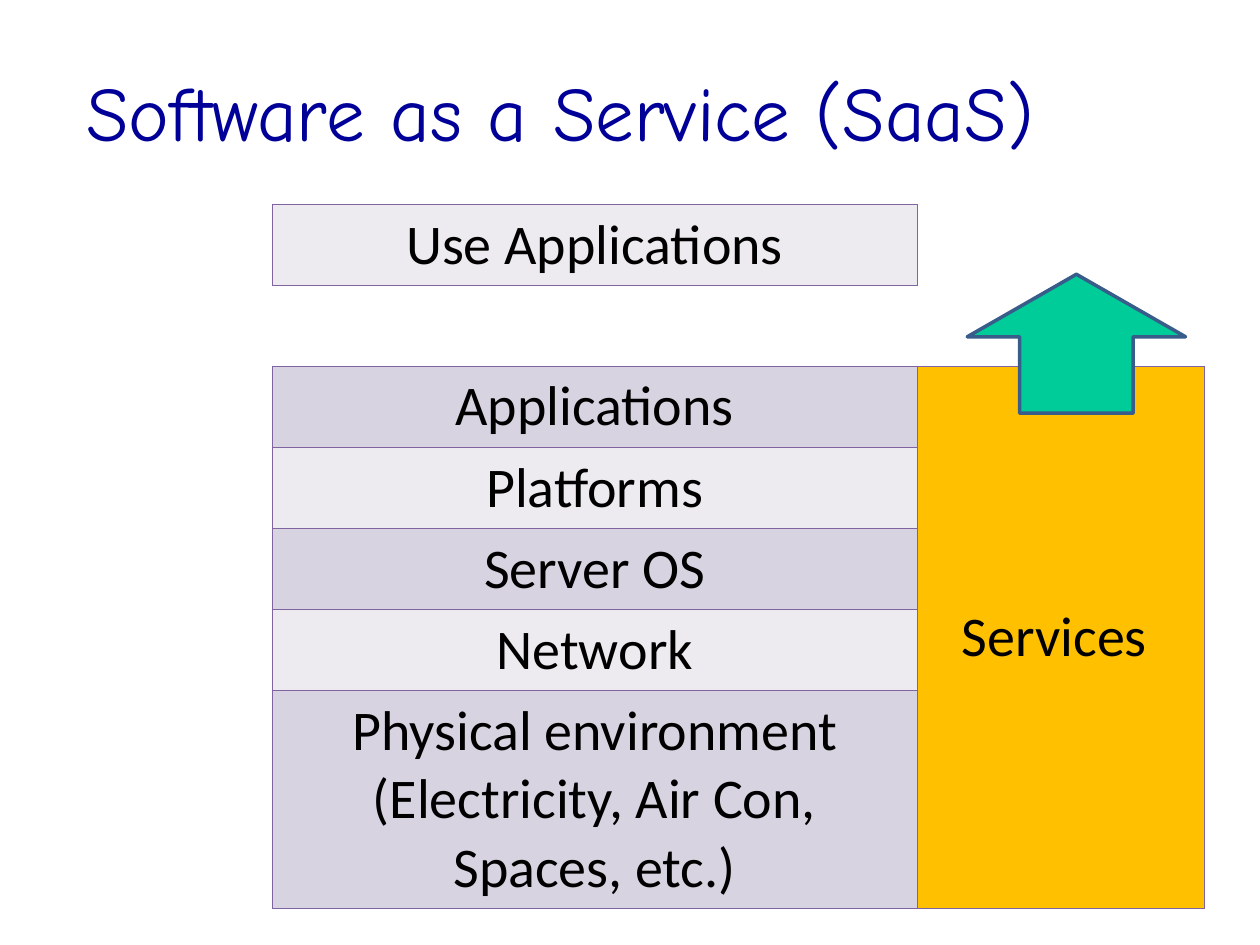
import dataclasses
from typing import Any

import lxml.etree
import pptx
import pptx.dml.color
import pptx.enum.shapes
import pptx.enum.text
import pptx.oxml.ns
import pptx.util

Cm = pptx.util.Cm
Pt = pptx.util.Pt
ALIGN = pptx.enum.text.PP_ALIGN
ANCHOR = pptx.enum.text.MSO_ANCHOR
EDGES = {"L": (0, -1), "R": (0, 1), "T": (-1, 0), "B": (1, 0)}
ROW = 1.63
WIDTHS = (13.0, 5.79)
TEXT = {"name": "Calibri", "size": Pt(32)}
HEAD = {"name": "Comic Neue", "size": Pt(44)}


@dataclasses.dataclass
class Layer:
    lines: tuple[str, ...] = ()
    fill: str = "FFFFFF"
    height: float = ROW


LAYERS = [
    Layer(("Use Applications",), "EDEAF0"),
    Layer(),
    Layer(("Applications",), "D8D3E0"),
    Layer(("Platforms",), "EDEAF0"),
    Layer(("Server OS",), "D8D3E0"),
    Layer(("Network",), "EDEAF0"),
    Layer(("Physical environment", "(Electricity, Air Con, Spaces, etc.)"), "D8D3E0", 4.32),
]
FIRST = 2
LAST = len(LAYERS) - 1


def rgb(code: str) -> pptx.dml.color.RGBColor:
    return pptx.dml.color.RGBColor.from_string(code)


def apply(item: Any, values: dict[str, Any]) -> None:
    for name, value in values.items():
        setattr(item, name, value)


def paint(item: Any, code: str) -> None:
    item.fill.solid()
    item.fill.fore_color.rgb = rgb(code)


def write(frame: Any, lines: tuple[str, ...], font: dict[str, Any], code: str, align: Any) -> None:
    frame.text = "\n".join(lines)
    for para in frame.paragraphs:
        para.alignment = align
        for run in para.runs:
            apply(run.font, font)
            run.font.color.rgb = rgb(code)


def boxed(row: int, col: int) -> bool:
    if col == 0:
        return 0 <= row <= LAST and bool(LAYERS[row].lines)
    return col == 1 and FIRST <= row <= LAST


def border(cell: Any, row: int, col: int) -> None:
    props = cell._tc.get_or_add_tcPr()
    for spot, (side, (down, right)) in enumerate(EDGES.items()):
        line = lxml.etree.Element(pptx.oxml.ns.qn(f"a:ln{side}"), w=str(Pt(0.45)))
        if boxed(row, col) or boxed(row + down, col + right):
            fill = lxml.etree.SubElement(line, pptx.oxml.ns.qn("a:solidFill"))
            lxml.etree.SubElement(fill, pptx.oxml.ns.qn("a:srgbClr"), val="8064A2")
        else:
            lxml.etree.SubElement(line, pptx.oxml.ns.qn("a:noFill"))
        props.insert(spot, line)


def stack(slide: Any) -> None:
    high = sum(layer.height for layer in LAYERS)
    frame = slide.shapes.add_table(
        len(LAYERS), 2, Cm(5.49), Cm(4.12), Cm(sum(WIDTHS)), Cm(high))
    table = frame.table
    apply(table, {"first_row": False, "horz_banding": False})
    for col, width in enumerate(WIDTHS):
        table.columns[col].width = Cm(width)
    for row, layer in enumerate(LAYERS):
        table.rows[row].height = Cm(layer.height)
        write(table.cell(row, 0).text_frame, layer.lines, TEXT, "000000", ALIGN.CENTER)
        for col in range(2):
            cell = table.cell(row, col)
            paint(cell, "FFC000" if col and boxed(row, col) else "FFFFFF" if col else layer.fill)
            border(cell, row, col)
    side = table.cell(FIRST, 1)
    side.merge(table.cell(LAST, 1))
    side.vertical_anchor = ANCHOR.MIDDLE
    write(side.text_frame, ("Services ",), TEXT, "000000", ALIGN.CENTER)


def arrow(slide: Any) -> None:
    shape = slide.shapes.add_shape(
        pptx.enum.shapes.MSO_SHAPE.UP_ARROW, Cm(19.5), Cm(5.53), Cm(4.4), Cm(2.8))
    shape.adjustments[0] = 0.52
    shape.adjustments[1] = 0.45
    shape.shadow.inherit = False
    paint(shape, "00CC99")
    shape.line.color.rgb = rgb("385D8A")
    shape.line.width = Pt(2)


def main() -> None:
    deck = pptx.Presentation()
    apply(deck, {"slide_width": Cm(25.4), "slide_height": Cm(19.05)})
    slide = deck.slides.add_slide(deck.slide_layouts[5])
    title = slide.shapes.title
    apply(title, {"left": Cm(1.48), "top": Cm(0.64), "width": Cm(21.6), "height": Cm(3.17)})
    title.text_frame.vertical_anchor = ANCHOR.MIDDLE
    write(title.text_frame, ("Software as a Service (SaaS)",), HEAD, "000099", ALIGN.LEFT)
    stack(slide)
    arrow(slide)
    deck.save("out.pptx")


if __name__ == "__main__":
    main()
